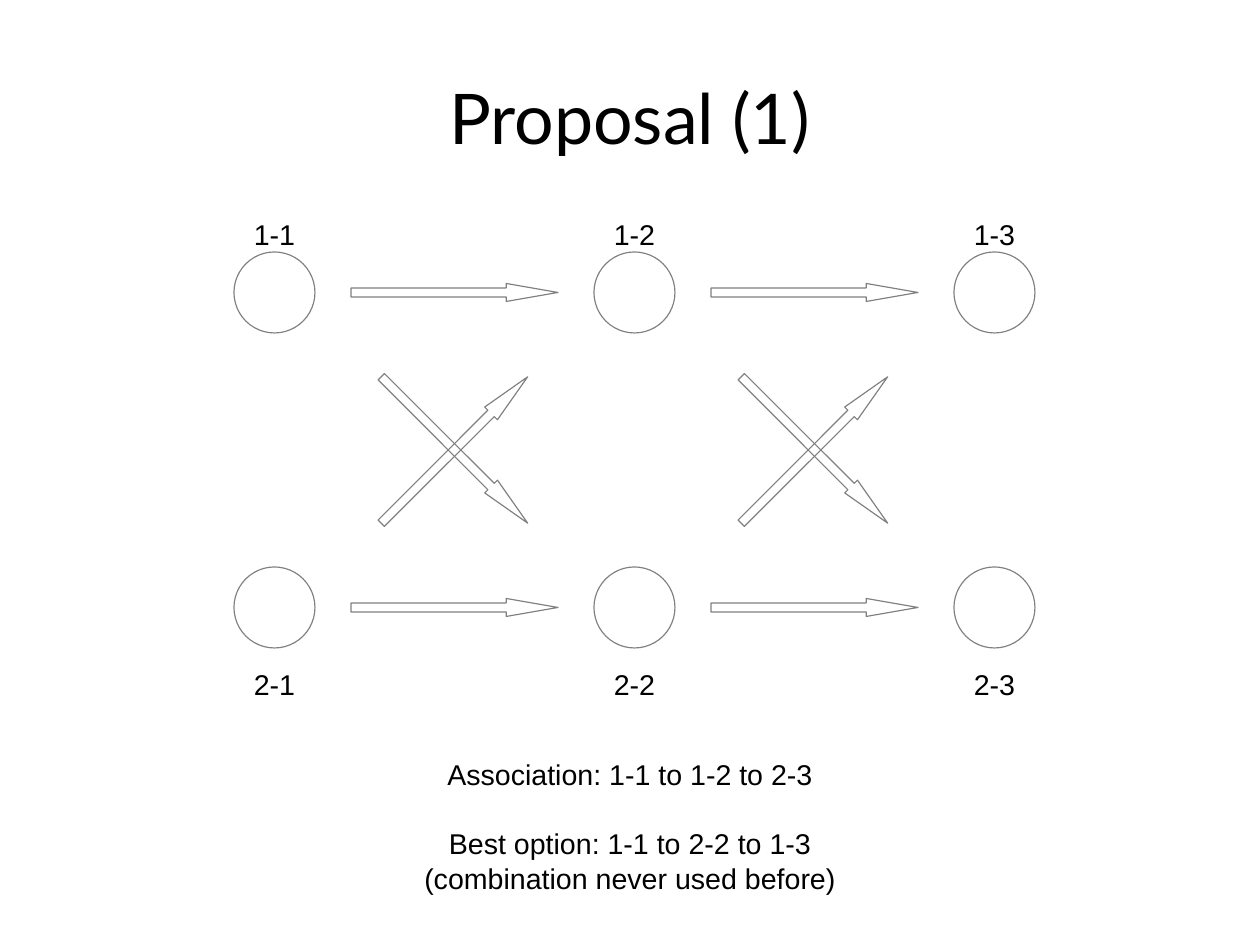
from dataclasses import dataclass
from itertools import product

import pptx
import pptx.dml.color
import pptx.enum.shapes
import pptx.enum.text
import pptx.util

Cm = pptx.util.Cm
Pt = pptx.util.Pt
RGB = pptx.dml.color.RGBColor
MSO = pptx.enum.shapes.MSO_SHAPE
Anchor = pptx.enum.text.MSO_ANCHOR


@dataclass(frozen=True)
class Theme:
    text: RGB = RGB(0, 0, 0)
    line: RGB = RGB(0x80, 0x80, 0x80)
    title_font: str = "Lato"
    body_font: str = "Arial"
    title_size: int = 44
    body_size: int = 18


@dataclass(frozen=True)
class Box:
    left: float
    top: float
    width: float
    height: float

    def emu(self) -> list[int]:
        return [Cm(v) for v in (self.left, self.top, self.width, self.height)]


@dataclass(frozen=True)
class Outline:
    kind: MSO
    box: Box
    rotation: float = 0
    adjustments: tuple[float, ...] = ()


@dataclass(frozen=True)
class Line:
    text: str
    space_before: float = 0


@dataclass(frozen=True)
class Label:
    box: Box
    lines: tuple[Line, ...]


THEME = Theme()
TITLE = {"name": THEME.title_font, "size": Pt(THEME.title_size)}
BODY = {"name": THEME.body_font, "size": Pt(THEME.body_size)}
NO_INSETS = {f"margin_{side}": 0 for side in ("left", "top", "right", "bottom")}

LEFT, PITCH, NODE = 5.2, 8, 1.8
NODE_TOPS = (5.6, 12.6)
LABEL_TOPS = (4.7, 14.7)
ARROW_LEFT, ARROW_WIDTH, ARROW_HEIGHT = 7.8, 4.6, 0.4
ARROWS = ((6.3, 0), (13.3, 0), (9.8, 45), (9.8, 315))


def draw_outline(slide: pptx.slide.Slide, item: Outline) -> None:
    s = slide.shapes.add_shape(item.kind, *item.box.emu())
    s.shadow.inherit = False
    s.fill.background()
    s.line.color.rgb = THEME.line
    s.line.width = 0
    s.rotation = item.rotation
    for i, value in enumerate(item.adjustments):
        s.adjustments[i] = value


def draw_label(slide: pptx.slide.Slide, label: Label, font: dict, frame: dict) -> None:
    tf = slide.shapes.add_textbox(*label.box.emu()).text_frame
    for name, value in {"word_wrap": True, **frame}.items():
        setattr(tf, name, value)
    for i, line in enumerate(label.lines):
        p = tf.add_paragraph() if i else tf.paragraphs[0]
        p.alignment = pptx.enum.text.PP_ALIGN.CENTER
        if line.space_before:
            p.space_before = Pt(line.space_before)
        r = p.add_run()
        r.text = line.text
        r.font.color.rgb = THEME.text
        for name, value in font.items():
            setattr(r.font, name, value)


def main() -> None:
    prs = pptx.Presentation()
    prs.slide_width, prs.slide_height = Cm(28), Cm(21)
    slide = prs.slides.add_slide(prs.slide_layouts[6])

    title = Label(Box(1.4, 0.84, 25.2, 3.5), (Line("Proposal (1)"),))
    draw_label(slide, title, TITLE, {"vertical_anchor": Anchor.MIDDLE, **NO_INSETS})

    for row, col in product(range(2), range(3)):
        x = LEFT + col * PITCH
        draw_outline(slide, Outline(MSO.OVAL, Box(x, NODE_TOPS[row], NODE, NODE)))
        name = Line(f"{row + 1}-{col + 1}")
        draw_label(slide, Label(Box(x, LABEL_TOPS[row], NODE, 0.96), (name,)), BODY, {})

    for col, (top, rotation) in product(range(2), ARROWS):
        box = Box(ARROW_LEFT + col * PITCH, top, ARROW_WIDTH, ARROW_HEIGHT)
        draw_outline(slide, Outline(MSO.RIGHT_ARROW, box, rotation, (0.5, 2.875)))

    notes = (
        Line("Association: 1-1 to 1-2 to 2-3"),
        Line("Best option: 1-1 to 2-2 to 1-3", space_before=22),
        Line("(combination never used before)"),
    )
    draw_label(slide, Label(Box(0, 16.7, 28, 3.3), notes), BODY, {})

    prs.save("out.pptx")


if __name__ == "__main__":
    main()
